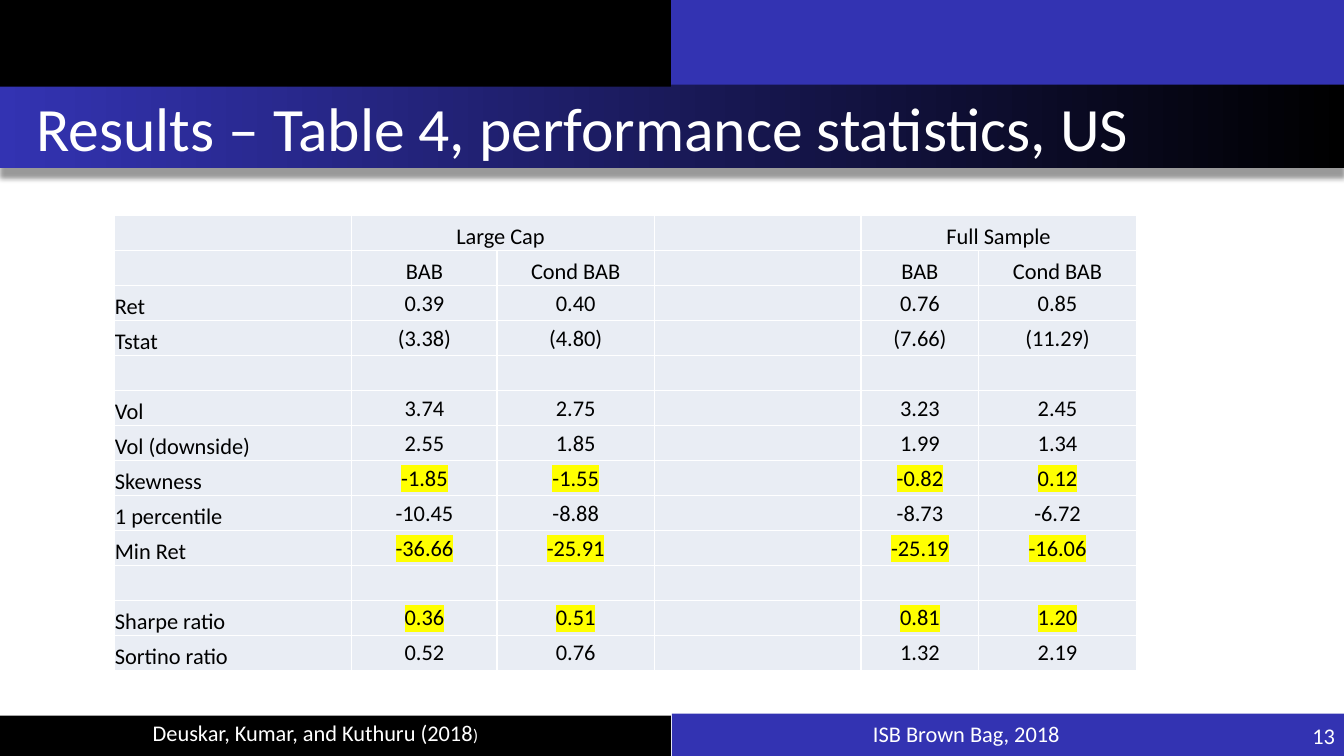
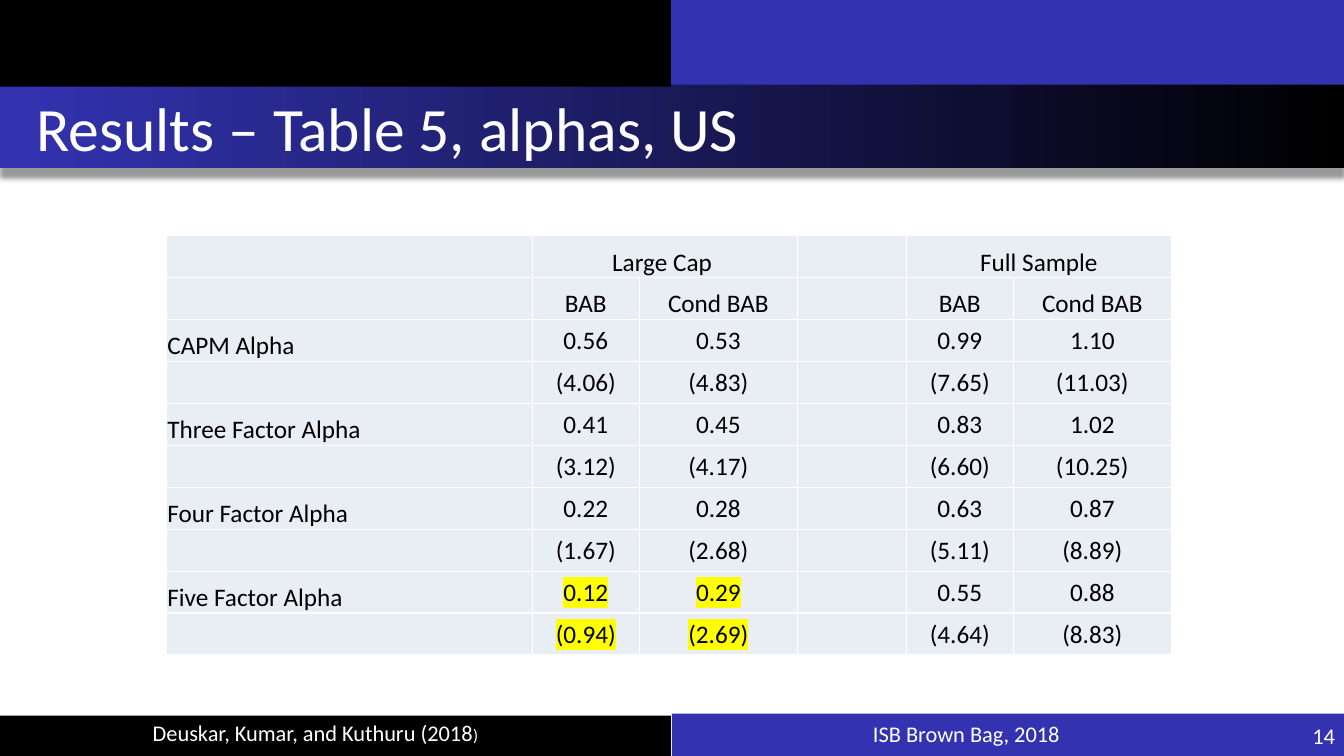
from dataclasses import dataclass
from itertools import product

from lxml.etree import SubElement
from pptx import Presentation
from pptx.dml.color import RGBColor
from pptx.enum.shapes import MSO_SHAPE, PP_PLACEHOLDER
from pptx.enum.text import MSO_ANCHOR as Anchor, MSO_AUTO_SIZE, PP_ALIGN as Align
from pptx.oxml.ns import qn
from pptx.util import Inches, Pt


@dataclass(frozen=True)
class Theme:
    font: str = "Calibri"
    black: str = "000000"
    white: str = "FFFFFF"
    blue: str = "3333B2"
    cell: str = "E9EDF4"
    marker: str = "FFFF00"
    title_size: int = 44
    footer_size: int = 16
    small_size: int = 12


THEME = Theme()
WIDTH, HEIGHT = 13.33, 7.5
HALF = WIDTH / 2
BAND = HEIGHT / 9  # height of the title band and of the strip above it
FOOTER = 0.42
FOOTER_TEXT = 0.4
FIRST_NUMBER = 13

HEADINGS = [
    ("", "Large Cap ", "", "Full Sample", ""),
    ("", "BAB", "Cond BAB", "BAB", "Cond BAB"),
]
PERFORMANCE = [
    ("Ret", "0.39", "0.40", "0.76", "0.85"),
    ("Tstat", "(3.38)", "(4.80)", "(7.66)", "(11.29)"),
    ("", "", "", "", ""),
    ("Vol", "3.74", "2.75", "3.23", "2.45"),
    ("Vol (downside)", "2.55", "1.85", "1.99", "1.34"),
    ("Skewness", "-1.85", "-1.55", "-0.82", "0.12"),
    ("1 percentile", "-10.45", "-8.88", "-8.73", "-6.72"),
    ("Min Ret", "-36.66", "-25.91", "-25.19", "-16.06"),
    ("", "", "", "", ""),
    ("Sharpe ratio", "0.36", "0.51", "0.81", "1.20"),
    ("Sortino ratio", "0.52", "0.76", "1.32", "2.19"),
]
ALPHAS = [
    ("CAPM Alpha", "0.56", "0.53", "0.99", "1.10"),
    ("", "(4.06)", "(4.83)", "(7.65)", "(11.03)"),
    ("Three Factor Alpha", "0.41", "0.45", "0.83", "1.02"),
    ("", "(3.12)", "(4.17)", "(6.60)", "(10.25)"),
    ("Four Factor Alpha", "0.22", "0.28", "0.63", "0.87"),
    ("", "(1.67)", "(2.68)", "(5.11)", "(8.89)"),
    ("Five Factor Alpha", "0.12", "0.29", "0.55", "0.88"),
    ("", "(0.94)", "(2.69)", "(4.64)", "(8.83)"),
]


def rgb(value):
    return RGBColor.from_string(value)


def box(left, top, width, height):
    return [Inches(length) for length in (left, top, width, height)]


def write(frame, text, *, size, color=THEME.white, align=Align.LEFT,
          highlight=None):
    """Add one formatted run to the last paragraph of the frame."""
    paragraph = frame.paragraphs[-1]
    paragraph.alignment = align
    run = paragraph.add_run()
    run.text = text
    run.font.size = Pt(size)
    run.font.color.rgb = rgb(color)
    run.font.name = THEME.font
    if highlight:
        properties = run.font._element
        mark = SubElement(properties, qn("a:highlight"))
        SubElement(mark, qn("a:srgbClr"), val=highlight)
        properties.find(qn("a:latin")).addprevious(mark)
    return paragraph


def add_band(slide, place, color):
    band = slide.shapes.add_shape(MSO_SHAPE.RECTANGLE, *box(*place))
    band.fill.solid()
    band.fill.fore_color.rgb = rgb(color)
    band.line.fill.background()
    band.shadow.inherit = False
    return band


def add_title_band(slide):
    band = add_band(slide, (0, BAND, WIDTH, BAND), THEME.blue)
    band.fill.gradient()
    band.fill.gradient_angle = 180
    for stop, color in zip(band.fill.gradient_stops, (THEME.black, THEME.blue)):
        stop.color.rgb = rgb(color)
    effects = band.element.spPr.find(qn("a:effectLst"))
    shadow = SubElement(effects, qn("a:outerShdw"), blurRad=str(Pt(4)),
                        dist=str(Pt(7)), dir="5400000", algn="t", rotWithShape="0")
    shade = SubElement(shadow, qn("a:srgbClr"), val=THEME.black)
    SubElement(shade, qn("a:alpha"), val="40000")
    return band


def add_label(slide, place, text, align=Align.LEFT):
    label = slide.shapes.add_textbox(*box(*place))
    label.text_frame.word_wrap = True
    label.text_frame.vertical_anchor = Anchor.MIDDLE
    write(label.text_frame, text, size=THEME.footer_size, align=align)
    return label


def dress_layout(layout, slide):
    """Draw the shared bands on the slide, then move them behind the layout's title."""
    for holder in list(layout.placeholders):
        if holder.placeholder_format.type == PP_PLACEHOLDER.TITLE:
            holder.left, holder.top, holder.width, holder.height = box(
                0.06, 0.85, 13.13, 0.81)
        else:
            holder.element.getparent().remove(holder.element)

    footer_top = HEIGHT - FOOTER
    parts = [
        add_band(slide, (HALF, footer_top, HALF, FOOTER), THEME.blue),
        add_band(slide, (-0.01, footer_top + 0.02, HALF, FOOTER), THEME.black),
        add_title_band(slide),
        add_label(slide, (-0.26, 7.07, 5.1, FOOTER_TEXT),
                  "Deuskar, Kumar, and Kuthuru (2018", Align.RIGHT),
        add_band(slide, (HALF - 0.1, -0.01, HALF + 0.11, 0.85), THEME.blue),
        add_band(slide, (-0.01, -0.01, HALF, 0.87), THEME.black),
    ]
    authors = parts[3]
    write(authors.text_frame, ")", size=THEME.small_size, align=Align.RIGHT)
    for position, part in enumerate(parts, start=2):
        layout.shapes.element.insert(position, part.element)


def add_title(slide, text):
    frame = slide.shapes.title.text_frame
    frame.auto_size = MSO_AUTO_SIZE.NONE
    frame.vertical_anchor = Anchor.MIDDLE
    paragraph = write(frame, text, size=THEME.title_size)
    paragraph._p.get_or_add_pPr().set("marL", str(Inches(0.2)))


def add_footer(slide, number):
    add_label(slide, (8.56, 7.08, 5.11, FOOTER_TEXT), "ISB Brown Bag, 2018")
    add_label(slide, (11.78, 7.1, 1.56, FOOTER_TEXT), str(number), Align.RIGHT)


def fill_cell(cell, text, *, size, align, anchor, highlight):
    cell.fill.solid()
    cell.fill.fore_color.rgb = rgb(THEME.cell)
    cell.margin_left = cell.margin_right = cell.margin_top = Inches(0.01)
    cell.margin_bottom = 0
    cell.vertical_anchor = anchor
    write(cell.text_frame, text, size=size, color=THEME.black, align=align,
          highlight=highlight)


def add_results(slide, statistics, *, left, top, columns, row_height, size, marked):
    """Add a table whose marked (row, column) cells are highlighted."""
    rows = HEADINGS + statistics
    place = box(left, top, sum(columns), row_height * len(rows))
    table = slide.shapes.add_table(len(rows), len(columns), *place).table
    table.first_row = table.horz_banding = False
    for column, width in zip(table.columns, columns):
        column.width = Inches(width)
    for row in table.rows:
        row.height = Inches(row_height)

    for r, (label, *values) in enumerate(rows):
        spaced = [label, *values[:2], "", *values[2:]]
        for c, text in enumerate(spaced):
            is_value = c > 0 and r >= len(HEADINGS)
            fill_cell(table.cell(r, c), text, size=size,
                      align=Align.CENTER if c else Align.LEFT,
                      anchor=Anchor.MIDDLE if is_value else Anchor.BOTTOM,
                      highlight=THEME.marker if (r, c) in marked else None)
    for c in (1, 4):
        table.cell(0, c).merge(table.cell(0, c + 1))


def main():
    deck = Presentation()
    deck.slide_width, deck.slide_height = Inches(WIDTH), Inches(HEIGHT)
    layout = deck.slide_layouts.get_by_name("Title Only")
    titles = ("Results – Table 4, performance statistics, US",
              "Results – Table 5, alphas, US")
    slides = [deck.slides.add_slide(layout) for _ in titles]
    dress_layout(layout, slides[0])
    for number, (slide, title) in enumerate(zip(slides, titles), FIRST_NUMBER):
        add_title(slide, title)
        add_footer(slide, number)

    performance, alphas = slides
    add_results(performance, PERFORMANCE, left=1.13, top=2.14,
                columns=(2.36, 1.44, 1.56, 2.05, 1.17, 1.56),
                row_height=4.51 / 13, size=16,
                marked=set(product((7, 9, 11), (1, 2, 4, 5))))
    add_results(alphas, ALPHAS, left=1.65, top=2.34,
                columns=(3.63, 1.06, 1.57, 1.08, 1.06, 1.57),
                row_height=4.16 / 10, size=18,
                marked=set(product((8, 9), (1, 2))))
    deck.save("out.pptx")


if __name__ == "__main__":
    main()
